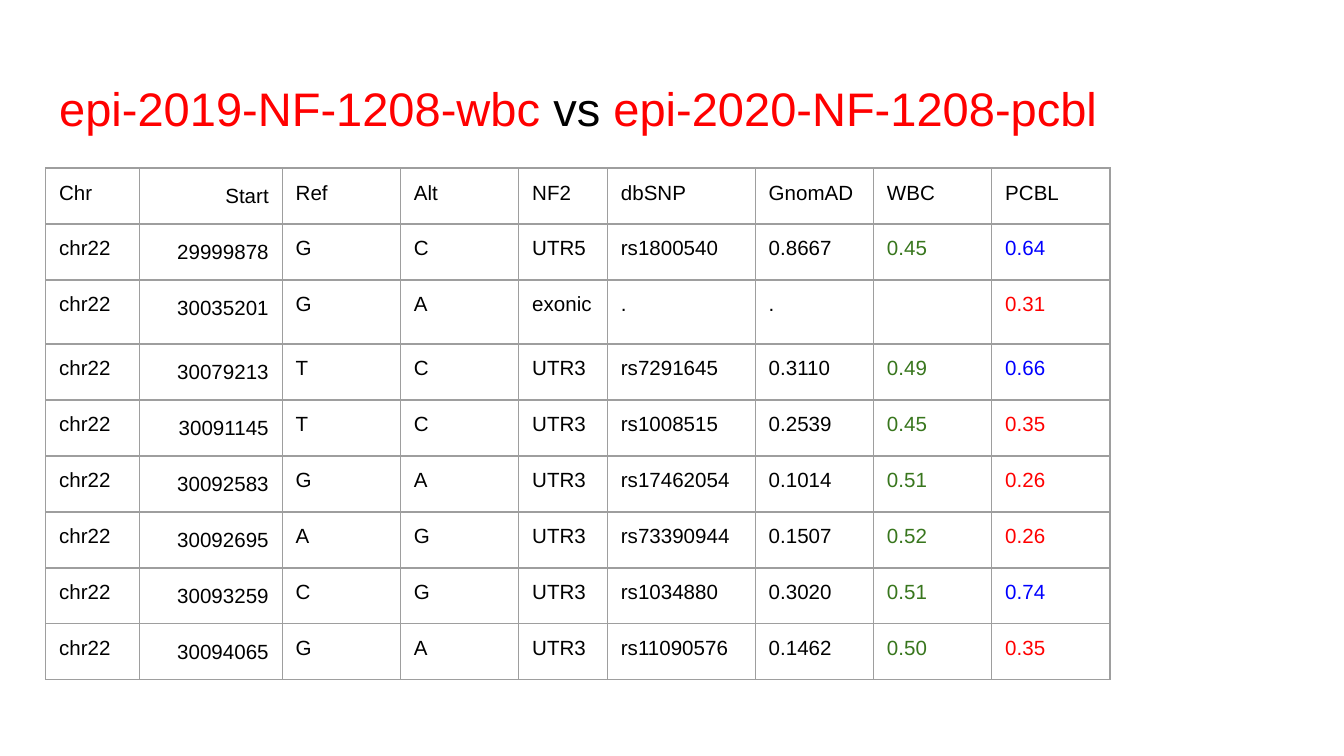
from lxml import etree
from pptx import Presentation
from pptx import util as u
from pptx.dml.color import RGBColor
from pptx.enum import text
from pptx.oxml import ns

BLACK, RED, BLUE, GREEN, GREY = "000000", "FF0000", "0000FF", "38761D", "9E9E9E"
WIDTH = 10
HEIGHT = WIDTH * 9 / 16
LEFT, TOP = 0.34, 1.25
COLS = [0.7, 1.06, 0.88, 0.88, 0.66, 1.1, 0.88, 0.88, 0.88]
ROW, TALL = 30, 34.3  # points
START, WBC = 1, 7

HEAD = ["Chr", "Start", "Ref", "Alt", "NF2", "dbSNP", "GnomAD", "WBC", "PCBL"]
CALLS = [
    ["29999878", "G", "C", "UTR5", "rs1800540", "0.8667", "0.45", "0.64"],
    ["30035201", "G", "A", "exonic", ".", ".", "", "0.31"],
    ["30079213", "T", "C", "UTR3", "rs7291645", "0.3110", "0.49", "0.66"],
    ["30091145", "T", "C", "UTR3", "rs1008515", "0.2539", "0.45", "0.35"],
    ["30092583", "G", "A", "UTR3", "rs17462054", "0.1014", "0.51", "0.26"],
    ["30092695", "A", "G", "UTR3", "rs73390944", "0.1507", "0.52", "0.26"],
    ["30093259", "C", "G", "UTR3", "rs1034880", "0.3020", "0.51", "0.74"],
    ["30094065", "G", "A", "UTR3", "rs11090576", "0.1462", "0.50", "0.35"],
]


def paint(color, code):
    color.rgb = RGBColor.from_string(code)


def write(frame, *runs, size, align=text.PP_ALIGN.LEFT, space=1.0):
    """Fill the first paragraph with (words, colour) runs."""
    para = frame.paragraphs[0]
    para.alignment, para.line_spacing = align, space
    para.font.size, para.font.name = u.Pt(size), "Arial"
    for words, code in runs:
        run = para.add_run()
        run.text = words
        run.font.size, run.font.name = u.Pt(size), "Arial"
        paint(run.font.color, code)


def pad(box):
    for side in ("left", "right", "top", "bottom"):
        setattr(box, "margin_" + side, u.Inches(0.1))


def border(cell):
    props = cell._tc.get_or_add_tcPr()
    for i, side in enumerate("LRTB"):
        line = etree.Element(ns.qn("a:ln" + side), w=str(u.Pt(0.75)))
        fill = etree.SubElement(line, ns.qn("a:solidFill"))
        etree.SubElement(fill, ns.qn("a:srgbClr"), val=GREY)
        props.insert(i, line)


def tint(row, col, words):
    """Green for blood, blue for a tumour share above one half, else red."""
    if row == 0 or col < WBC:
        return BLACK
    if col == WBC:
        return GREEN
    return BLUE if float(words) > 0.5 else RED


def add_title(slide, *runs):
    title = slide.shapes.title
    title.left, title.top = u.Inches(LEFT), u.Inches(0.49)
    title.width, title.height = u.Inches(9.32), u.Inches(0.63)
    frame = title.text_frame
    frame.auto_size = text.MSO_AUTO_SIZE.NONE
    frame.vertical_anchor = text.MSO_ANCHOR.TOP
    frame.word_wrap = True
    pad(frame)
    write(frame, *runs, size=25.2)


def add_grid(slide, rows):
    heights = [u.Pt(ROW if all(row) else TALL) for row in rows]
    table = slide.shapes.add_table(
        len(rows), len(COLS), u.Inches(LEFT), u.Inches(TOP),
        u.Inches(sum(COLS)), sum(heights)).table
    table.first_row = table.horz_banding = False
    for col, width in zip(table.columns, COLS):
        col.width = u.Inches(width)
    for r, row in enumerate(rows):
        table.rows[r].height = heights[r]
        for c, words in enumerate(row):
            cell = table.cell(r, c)
            cell.fill.background()
            border(cell)
            pad(cell)
            form = {"align": text.PP_ALIGN.RIGHT, "space": 1.15} if c == START else {}
            runs = [(words, tint(r, c, words))] if words else []
            write(cell.text_frame, *runs, size=11, **form)


def main():
    deck = Presentation()
    deck.slide_width, deck.slide_height = u.Inches(WIDTH), u.Inches(HEIGHT)
    slide = deck.slides.add_slide(deck.slide_layouts[5])
    add_title(slide, ("epi-2019-NF-1208-wbc ", RED), ("vs", BLACK),
              (" epi-2020-NF-1208-pcbl", RED))
    add_grid(slide, [HEAD] + [["chr22"] + call for call in CALLS])
    deck.save("out.pptx")


if __name__ == "__main__":
    main()
